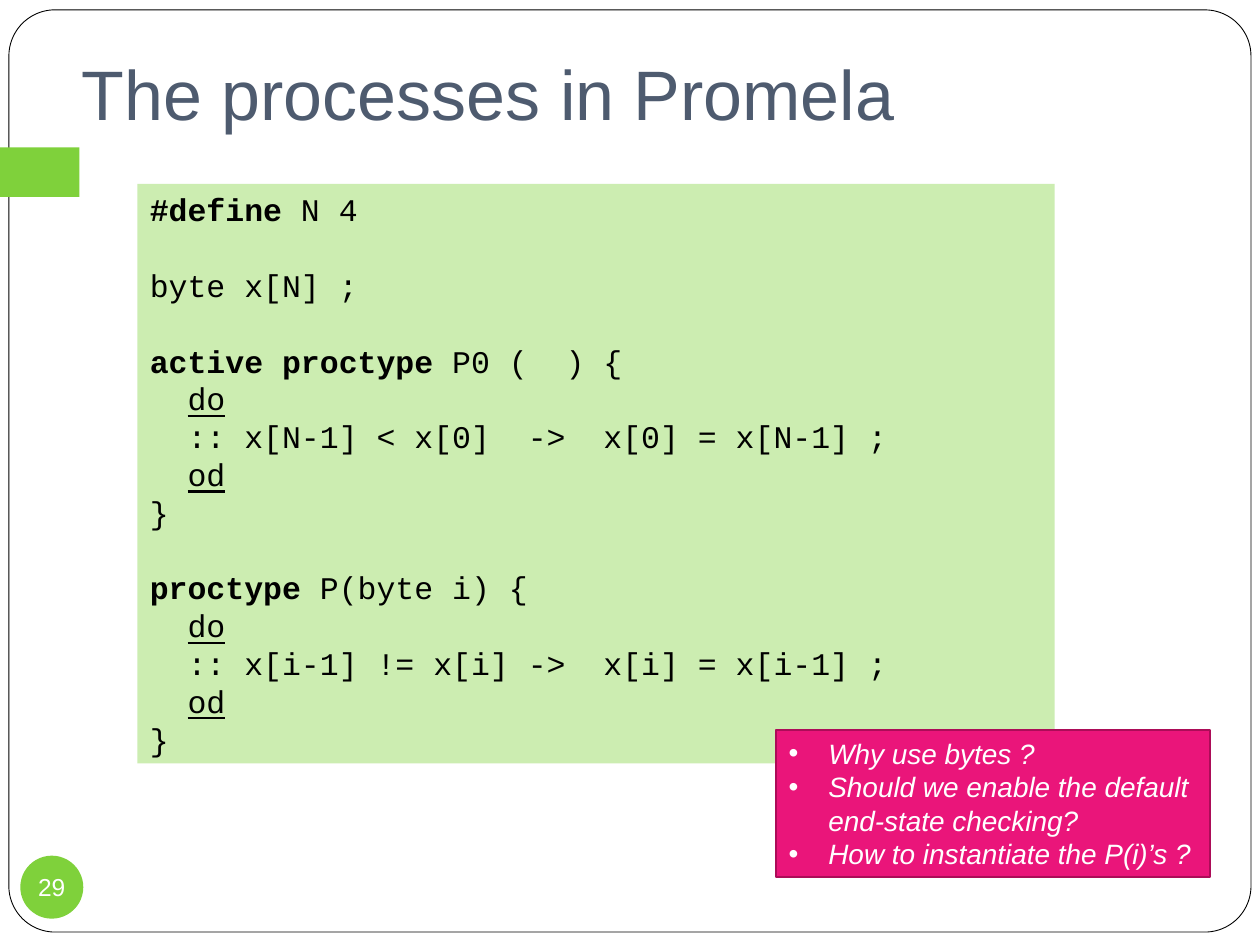
from pptx import Presentation
from pptx.dml.color import RGBColor
from pptx.enum.shapes import MSO_SHAPE
from pptx.enum.text import MSO_ANCHOR, PP_ALIGN
from pptx.util import Cm, Pt
from lxml import etree

RECT, ROUND, OVAL = MSO_SHAPE.RECTANGLE, MSO_SHAPE.ROUNDED_RECTANGLE, MSO_SHAPE.OVAL
TOP, MID, BASE = MSO_ANCHOR.TOP, MSO_ANCHOR.MIDDLE, MSO_ANCHOR.BOTTOM
LEFT, MIDDLE = PP_ALIGN.LEFT, PP_ALIGN.CENTER

TITLE = "The processes in Promela"
PAGE = "29"
CODE = [
    [[("#define", "b"), (" N 4", "")]],
    [[("byte x[N] ;", "")]],
    [
        [("active proctype", "b"), (" P0 (  ) {", "")],
        [("  ", ""), ("do", "u")],
        [("  :: x[N-1] < x[0]  ->  x[0] = x[N-1] ;", "")],
        [("  ", ""), ("od", "u")],
        [("}", "")],
    ],
    [
        [("proctype", "b"), (" P(byte i) {", "")],
        [("  ", ""), ("do", "u")],
        [("  :: x[i-1] != x[i] ->  x[i] = x[i-1] ;", "")],
        [("  ", ""), ("od", "u")],
        [("}", "")],
    ],
]
ASKS = [
    "Why use bytes ?",
    "Should we enable the default end-state checking?",
    "How to instantiate the P(i)’s ?",
]
THEME = {
    "white": "FFFFFF", "black": "000000", "green": "7FD13B", "pale": "CCEDB1",
    "pink": "EA157A", "edge": "AC0C58", "slate": "4E5B6F",
    "sans": "Arial", "mono": "Courier New",
    "head": 40, "code": 18, "ask": 16, "page": 14, "lead": 1.2,
}


def tint(name):
    return RGBColor.from_string(THEME[name])


def shape(kind, box, fill, line=None, width=1):
    item = slide.shapes.add_shape(kind, *map(Cm, box))
    item.shadow.inherit = False
    item.fill.solid()
    item.fill.fore_color.rgb = tint(fill)
    if line:
        item.line.color.rgb = tint(line)
        item.line.width = Pt(width)
    else:
        item.line.fill.background()
    return item


def setup(item, anchor=TOP, pad=(0.25, 0.13, 0.25, 0.13), wrap=True):
    frame = item.text_frame
    frame.word_wrap = wrap
    frame.vertical_anchor = anchor
    (frame.margin_left, frame.margin_top,
     frame.margin_right, frame.margin_bottom) = map(Cm, pad)
    return frame


def style(para, face, size, color, align=LEFT):
    para.alignment = align
    for run in para.runs:
        run.font.name = THEME[face]
        run.font.size = Pt(THEME[size])
        run.font.color.rgb = tint(color)


def lead(para, size):
    para.line_spacing = Pt(THEME[size] * THEME["lead"])


def bullet(para, left, hang):
    props = para._p.get_or_add_pPr()
    props.set("marL", str(Cm(left)))
    props.set("indent", str(-Cm(hang)))
    space = props.nsmap["a"]
    hue = etree.SubElement(props, f"{{{space}}}buClr")
    etree.SubElement(hue, f"{{{space}}}srgbClr", val=THEME["white"])
    etree.SubElement(props, f"{{{space}}}buFont", typeface=THEME["sans"])
    etree.SubElement(props, f"{{{space}}}buChar", char="•")


deck = Presentation()
deck.slide_width, deck.slide_height = Cm(25.4), Cm(19.05)
slide = deck.slides.add_slide(deck.slide_layouts[6])

frame = shape(ROUND, (0.18, 0.2, 25.04, 18.59), "white", "black", 0.5)
frame.adjustments[0] = 0.05
shape(RECT, (0, 2.97, 1.6, 1), "green")

head = setup(slide.shapes.add_textbox(*map(Cm, (1.4, 0.76, 23.22, 2.21))),
             BASE, (0.25, 0.13, 0.25, 0.25))
head.text = TITLE
style(head.paragraphs[0], "sans", "head", "slate")

page = setup(shape(OVAL, (0.41, 17.25, 1.27, 1.27), "green"), MID, (0, 0, 0, 0), False)
page.text = PAGE
style(page.paragraphs[0], "sans", "page", "white", MIDDLE)

code = setup(shape(RECT, (2.77, 3.71, 18.49, 11.68), "pale"))
para = code.paragraphs[0]
for group, lines in enumerate(CODE):
    for row, parts in enumerate(lines):
        if group or row:
            para = code.add_paragraph()
        for text, mark in parts:
            run = para.add_run()
            run.text = text
            run.font.bold = mark == "b"
            run.font.underline = mark == "u"
        lead(para, "code")
        if group and not row:
            para.space_before = Pt(THEME["code"] * THEME["lead"])
        style(para, "mono", "code", "black")

asks = setup(shape(RECT, (15.65, 14.71, 8.74, 2.97), "pink", "edge"))
asks.text = "\n".join(ASKS)
for para in asks.paragraphs:
    lead(para, "ask")
    bullet(para, 0.8, 0.8)
    style(para, "sans", "ask", "white")
    para.runs[0].font.italic = True

deck.save("out.pptx")
